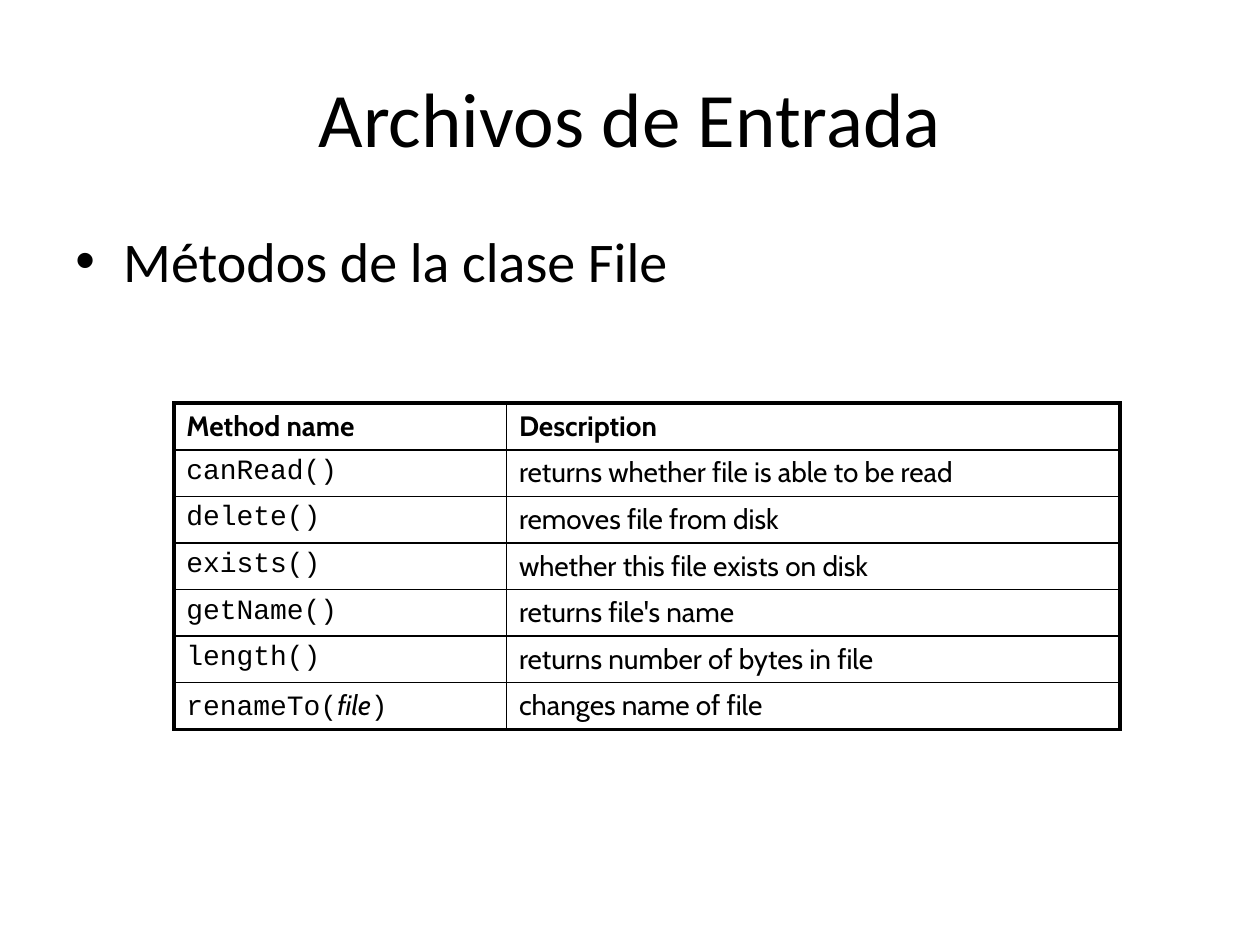
"""Build the slide that lists the methods of the File class."""
import dataclasses

import pptx
import pptx.dml.color
import pptx.enum.text
import pptx.oxml.ns
import pptx.slide
import pptx.table
import pptx.text.text
import pptx.util
from lxml import etree

Inches = pptx.util.Inches
Pt = pptx.util.Pt
BLACK = pptx.dml.color.RGBColor(0, 0, 0)
WHITE = pptx.dml.color.RGBColor(255, 255, 255)
SANS, TEXT, CODE = "Calibri", "Cabin", "Courier New"
THIN, THICK = 1, 2.25


@dataclasses.dataclass(frozen=True)
class Run:
    text: str
    font: str = TEXT
    size: float = 16
    bold: bool = False
    slant: bool = False


@dataclasses.dataclass(frozen=True)
class Method:
    name: tuple[Run, ...]
    about: Run


METHODS = (
    Method((Run("Method name", bold=True),), Run("Description", bold=True)),
    Method((Run("canRead()", CODE),), Run("returns whether file is able to be read")),
    Method((Run("delete()", CODE),), Run("removes file from disk")),
    Method((Run("exists()", CODE),), Run("whether this file exists on disk")),
    Method((Run("getName()", CODE),), Run("returns file's name")),
    Method((Run("length()", CODE),), Run("returns number of bytes in file")),
    Method((Run("renameTo(", CODE), Run("file", slant=True), Run(")", CODE)),
           Run("changes name of file")),
)


def write(para: pptx.text.text._Paragraph, runs: tuple[Run, ...]) -> None:
    """Add styled runs to a paragraph."""
    for item in runs:
        run = para.add_run()
        run.text = item.text
        font = run.font
        font.name, font.size = item.font, Pt(item.size)
        font.bold, font.italic = item.bold, item.slant
        font.color.rgb = BLACK


def add_text(slide: pptx.slide.Slide, top: float, height: float,
             run: Run) -> pptx.text.text.TextFrame:
    """Add a full-width text box with one run."""
    box = slide.shapes.add_textbox(Inches(0.5), Inches(top), Inches(9), Inches(height))
    frame = box.text_frame
    frame.word_wrap = True
    write(frame.paragraphs[0], (run,))
    return frame


def add_bullet(para: pptx.text.text._Paragraph) -> None:
    """Give a paragraph a hanging round bullet."""
    props = para._p.get_or_add_pPr()
    indent = Inches(0.38)
    props.set("marL", str(indent))
    props.set("indent", str(-indent))
    qn = pptx.oxml.ns.qn
    etree.SubElement(props, qn("a:buFont")).set("typeface", "Arial")
    etree.SubElement(props, qn("a:buChar")).set("char", "•")


def add_edges(cell: pptx.table._Cell, widths: dict[str, float]) -> None:
    """Draw the solid borders of a cell ahead of its fill."""
    qn = pptx.oxml.ns.qn
    props = cell._tc.get_or_add_tcPr()
    for spot, (side, width) in enumerate(widths.items()):
        line = etree.Element(qn(f"a:ln{side}"), w=str(Pt(width)))
        fill = etree.SubElement(line, qn("a:solidFill"))
        etree.SubElement(fill, qn("a:srgbClr")).set("val", str(BLACK))
        props.insert(spot, line)


def add_methods(slide: pptx.slide.Slide) -> None:
    """Add the table of methods with a thick outer frame."""
    count, height = len(METHODS), 0.37
    frame = slide.shapes.add_table(count, 2, Inches(1.38), Inches(3.2),
                                   Inches(7.51), Inches(count * height))
    table = frame.table
    table.first_row = table.horz_banding = False
    for column, width in zip(table.columns, (2.64, 4.87)):
        column.width = Inches(width)
    for row, method in enumerate(METHODS):
        table.rows[row].height = Inches(height)
        for col, runs in enumerate((method.name, (method.about,))):
            cell = table.cell(row, col)
            cell.fill.solid()
            cell.fill.fore_color.rgb = WHITE
            write(cell.text_frame.paragraphs[0], runs)
            outer = {"L": col == 0, "R": col == 1, "T": row == 0, "B": row == count - 1}
            add_edges(cell, {side: THICK if edge else THIN for side, edge in outer.items()})


def main() -> None:
    """Build and save the deck."""
    deck = pptx.Presentation()
    deck.slide_width, deck.slide_height = Inches(10), Inches(7.5)
    slide = deck.slides.add_slide(deck.slide_layouts[6])
    title = add_text(slide, 0.3, 1.25, Run("Archivos de Entrada", SANS, 44))
    title.vertical_anchor = pptx.enum.text.MSO_ANCHOR.MIDDLE
    title.paragraphs[0].alignment = pptx.enum.text.PP_ALIGN.CENTER
    body = add_text(slide, 1.75, 4.95, Run("Métodos de la clase File", SANS, 32))
    add_bullet(body.paragraphs[0])
    add_methods(slide)
    deck.save("out.pptx")


if __name__ == "__main__":
    main()
